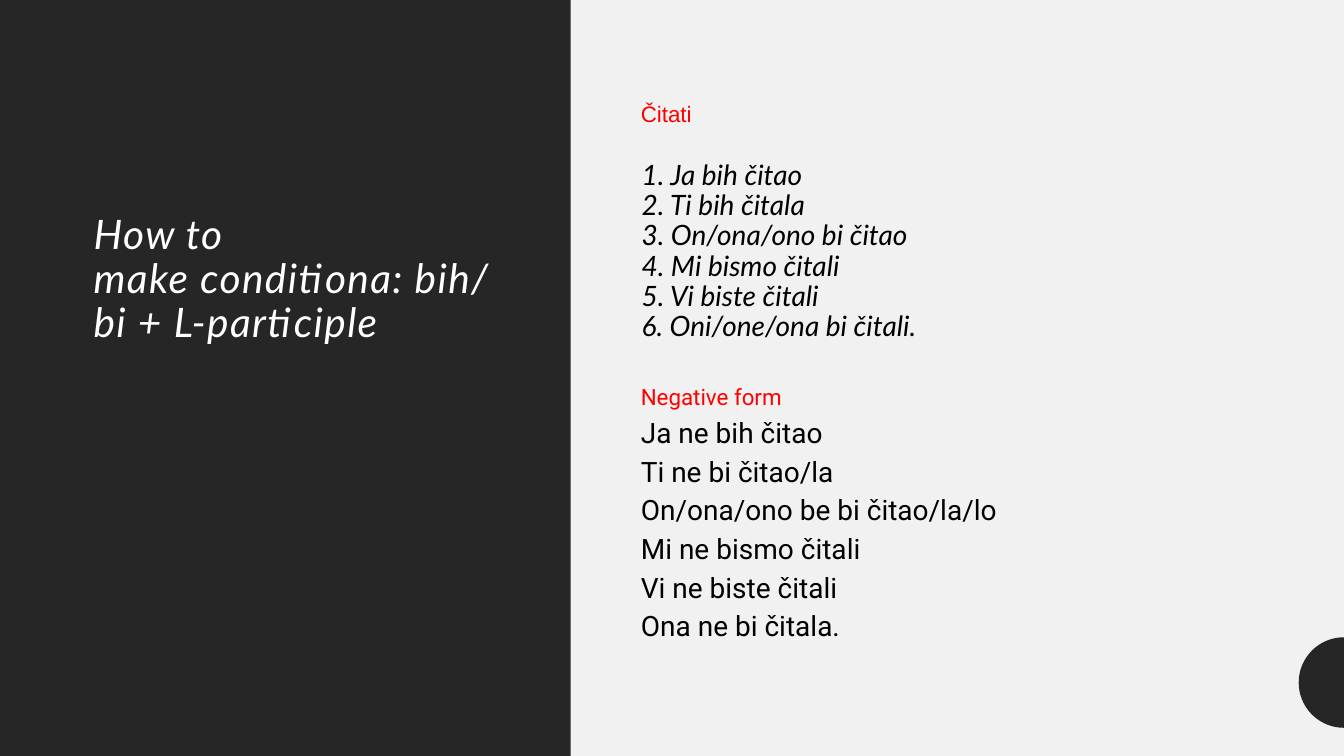
from math import cos, pi, sin

from pptx import Presentation
from pptx.dml.color import RGBColor
from pptx.enum.shapes import MSO_SHAPE
from pptx.util import Cm, Pt

PAPER = RGBColor(0xF2, 0xF1, 0xF1)
CHARCOAL = RGBColor(0x26, 0x26, 0x26)
WHITE = RGBColor(0xFF, 0xFF, 0xFF)
BLACK = RGBColor(0x00, 0x00, 0x00)
RED = RGBColor(0xFF, 0x00, 0x00)

SLIDE_WIDTH, SLIDE_HEIGHT = 33.87, 19.05  # cm
PANEL_WIDTH = 14.38

TITLE = ["How to", "make conditiona: bih/", "bi + L-participle"]
CONDITIONAL = [
    "1. Ja bih čitao",
    "2. Ti bih čitala",
    "3. On/ona/ono bi čitao",
    "4. Mi bismo čitali",
    "5. Vi biste čitali",
    "6. Oni/one/ona bi čitali.",
]
NEGATIVE = [
    "Ja ne bih čitao",
    "Ti ne bi čitao/la",
    "On/ona/ono be bi čitao/la/lo",
    "Mi ne bismo čitali",
    "Vi ne biste čitali",
    "Ona ne bi čitala.",
]


def paint(shape, color):
    shape.fill.solid()
    shape.fill.fore_color.rgb = color
    shape.line.fill.background()
    shape.shadow.inherit = False


def add_text(slide, box, paragraphs, font, size, color, italic=False,
             line_spacing=0.9, space_after=6, tracking=0):
    """Each paragraph is a list of lines, parted by line breaks."""
    frame = slide.shapes.add_textbox(*map(Cm, box)).text_frame
    frame.word_wrap = True
    for number, lines in enumerate(paragraphs):
        paragraph = frame.add_paragraph() if number else frame.paragraphs[0]
        paragraph.line_spacing = line_spacing
        paragraph.space_after = Pt(space_after)
        for position, line in enumerate(lines):
            if position:
                paragraph.add_line_break()
            run = paragraph.add_run()
            run.text = line
            run.font.name = font
            run.font.size = Pt(size)
            run.font.italic = italic
            run.font.color.rgb = color
            if tracking:
                run.font._element.set("spc", str(tracking))


def add_title_panel(slide, left, top, width, height):
    panel = slide.shapes.add_shape(
        MSO_SHAPE.RECTANGLE, Cm(left), Cm(top), Cm(width), Cm(height))
    paint(panel, CHARCOAL)
    title_box = (left + 2.11, top + 5.28, 10.64, 3.8)
    add_text(slide, title_box, [TITLE], "Lato", 29, WHITE, italic=True,
             space_after=0, tracking=100)


def add_conjugations(slide, left, top, width):
    # Conditional forms
    add_text(slide, (left, top, width, 1.4), [["Čitati"]],
             "Arial", 16, RED, line_spacing=1.0)
    add_text(slide, (left + 0.02, top + 1.55, width, 4.65), [CONDITIONAL],
             "Lato", 20, BLACK, italic=True)
    # Negative forms
    add_text(slide, (left, top + 7.14, width, 1.4), [["Negative form"]],
             "Roboto", 16, RED, line_spacing=1.0)
    add_text(slide, (left, top + 8.05, width, 4.65),
             [[line] for line in NEGATIVE], "Roboto", 20, BLACK)


def add_half_disc(slide, right, middle, radius, steps=48):
    angles = [pi / 2 + pi * step / steps for step in range(steps + 1)]
    points = [(Cm(right + radius * cos(angle)), Cm(middle + radius * sin(angle)))
              for angle in angles]
    outline = slide.shapes.build_freeform(*points[0])
    outline.add_line_segments(points[1:], close=True)
    paint(outline.convert_to_shape(), CHARCOAL)


def main():
    deck = Presentation()
    deck.slide_width, deck.slide_height = Cm(SLIDE_WIDTH), Cm(SLIDE_HEIGHT)
    slide = deck.slides.add_slide(deck.slide_layouts[6])
    slide.background.fill.solid()
    slide.background.fill.fore_color.rgb = PAPER

    add_title_panel(slide, 0, 0, PANEL_WIDTH, SLIDE_HEIGHT)
    add_half_disc(slide, SLIDE_WIDTH, 17.2, 1.14)
    add_conjugations(slide, PANEL_WIDTH + 1.52, 2.39, 15.85)
    deck.save("out.pptx")


if __name__ == "__main__":
    main()
